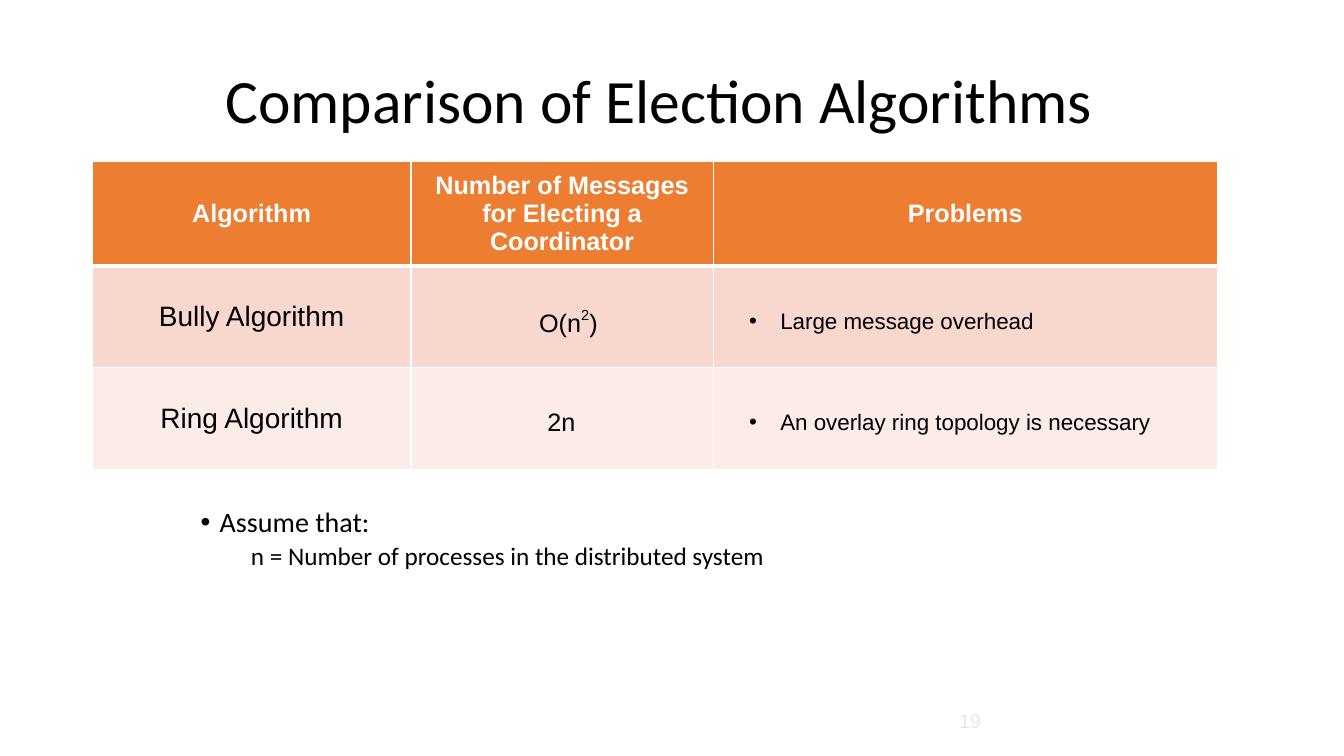
from lxml.etree import SubElement
from pptx import Presentation
from pptx.dml.color import RGBColor
from pptx.enum.text import MSO_ANCHOR, PP_ALIGN
from pptx.oxml.ns import qn
from pptx.util import Inches, Pt

GRID_COLUMNS, GRID_ROWS = 160, 90
COLORS = {"ink": "000000", "white": "FFFFFF", "header": "ED7D31",
          "bully": "F8D7CE", "ring": "FCECE8", "number": "E7E6E6"}
TITLE_BOX = (23, 3.6, 111, 17.4)
TABLE_BOX = (11, 19.2, 134, 36.72)
ASSUMPTION_BOX = (22.7, 59.9, 110.8, 9)
NUMBER_BOX = (113, 83.5, 36, 4.6)
TABLE_COLUMNS = (37.92, 36, 60)
TABLE_ROWS = (12.48, 12.12, 12.12)
HEADINGS = ("Algorithm", "Number of Messages for Electing a Coordinator", "Problems")
ALGORITHMS = (
    ("bully", "Bully Algorithm", ("O(n", "2", ")"), 52, "Large message overhead"),
    ("ring", "Ring Algorithm", ("2n",), 53, "An overlay ring topology is necessary"),
)


def cells(count):
    """Convert grid cells to a length; the grid is square."""
    return Inches(count * 13.333 / GRID_COLUMNS)


def add_run(paragraph, text, size, font="Arial", color="ink", bold=False):
    """Add a formatted run to a paragraph."""
    run = paragraph.add_run()
    run.text = text
    for name, value in {"size": Pt(size), "name": font, "bold": bold}.items():
        setattr(run.font, name, value)
    run.font.color.rgb = RGBColor.from_string(COLORS[color])
    return run


def add_text_frame(slide, box, anchor=MSO_ANCHOR.TOP):
    """Add a wrapping text box and return its text frame."""
    frame = slide.shapes.add_textbox(*map(cells, box)).text_frame
    for name, value in {"word_wrap": True, "vertical_anchor": anchor}.items():
        setattr(frame, name, value)
    return frame


def indent(paragraph, margin, bullet=False):
    """Indent a paragraph, hanging a bullet in the margin if asked."""
    properties = paragraph._p.get_or_add_pPr()
    properties.set("marL", str(Inches(margin)))
    properties.set("indent", str(Inches(-margin if bullet else 0)))
    if bullet:
        SubElement(properties, qn("a:buFont"), typeface="Arial")
        SubElement(properties, qn("a:buChar"), char="•")


def set_borders(cell, bottom):
    """Draw white borders around a cell."""
    properties = cell._tc.get_or_add_tcPr()
    widths = {"a:lnL": 1, "a:lnR": 1, "a:lnT": 1, "a:lnB": bottom}
    for position, (tag, width) in enumerate(widths.items()):
        line = properties.makeelement(qn(tag), {"w": str(Pt(width))})
        fill = SubElement(line, qn("a:solidFill"))
        SubElement(fill, qn("a:srgbClr"), val=COLORS["white"])
        properties.insert(position, line)


def add_title(slide, box):
    """Add the centred slide title."""
    paragraph = add_text_frame(slide, box, MSO_ANCHOR.MIDDLE).paragraphs[0]
    for name, value in {"alignment": PP_ALIGN.CENTER, "line_spacing": 0.9}.items():
        setattr(paragraph, name, value)
    add_run(paragraph, "Comparison of Election Algorithms", 44, "Calibri")


def add_comparison_table(slide, box):
    """Add the table with headings and algorithm names."""
    table = slide.shapes.add_table(len(TABLE_ROWS), len(TABLE_COLUMNS),
                                   *map(cells, box)).table
    for column, width in zip(table.columns, TABLE_COLUMNS):
        column.width = cells(width)
    for row, height in zip(table.rows, TABLE_ROWS):
        row.height = cells(height)
    rows = [("header", HEADINGS)] + [(fill, (name, "", ""))
                                     for fill, name, *_ in ALGORITHMS]
    for row, (fill, texts) in zip(table.rows, rows):
        heading = fill == "header"
        for cell, text in zip(row.cells, texts):
            cell.vertical_anchor = MSO_ANCHOR.MIDDLE
            cell.fill.solid()
            cell.fill.fore_color.rgb = RGBColor.from_string(COLORS[fill])
            set_borders(cell, 3 if heading else 1)
            if text:
                paragraph = cell.text_frame.paragraphs[0]
                paragraph.alignment = PP_ALIGN.CENTER
                add_run(paragraph, text, 18 if heading else 20,
                        color="white" if heading else "ink", bold=heading)


def add_table_entries(slide, box):
    """Place message counts and problems over the table's body."""
    left, top, _, _ = box
    for index, (_, _, count, offset, problem) in enumerate(ALGORITHMS):
        row_top = top + 16.6 + index * 12
        paragraph = add_text_frame(slide, (left + offset, row_top, 11, 4.8)).paragraphs[0]
        for text in count:
            run = add_run(paragraph, text, 18)
            if text == "2":
                run._r.get_or_add_rPr().set("baseline", "50000")
        paragraph = add_text_frame(slide, (left + 77, row_top + 0.2, 59, 4.4)).paragraphs[0]
        indent(paragraph, 0.31, bullet=True)
        add_run(paragraph, problem, 16)


def add_assumption(slide, box):
    """Add the assumption and its definition of n."""
    frame = add_text_frame(slide, box)
    lines = (("Assume that:", 20, 7.5, 0.19, True),
             ("n = Number of processes in the distributed system", 18, 3.8, 0.5, False))
    for index, (text, size, space, margin, bullet) in enumerate(lines):
        paragraph = frame.add_paragraph() if index else frame.paragraphs[0]
        for name, value in {"level": index, "line_spacing": 0.9,
                            "space_before": Pt(space)}.items():
            setattr(paragraph, name, value)
        indent(paragraph, margin, bullet)
        add_run(paragraph, text, size, "Calibri")


def add_slide_number(slide, box):
    """Add the pale slide number."""
    paragraph = add_text_frame(slide, box, MSO_ANCHOR.MIDDLE).paragraphs[0]
    indent(paragraph, 0)
    add_run(paragraph, "19", 14, color="number")


def main():
    """Build and save the slide."""
    presentation = Presentation()
    presentation.slide_width = cells(GRID_COLUMNS)
    presentation.slide_height = cells(GRID_ROWS)
    slide = presentation.slides.add_slide(presentation.slide_layouts[6])
    add_title(slide, TITLE_BOX)
    add_assumption(slide, ASSUMPTION_BOX)
    add_comparison_table(slide, TABLE_BOX)
    add_table_entries(slide, TABLE_BOX)
    add_slide_number(slide, NUMBER_BOX)
    presentation.save("out.pptx")


if __name__ == "__main__":
    main()
